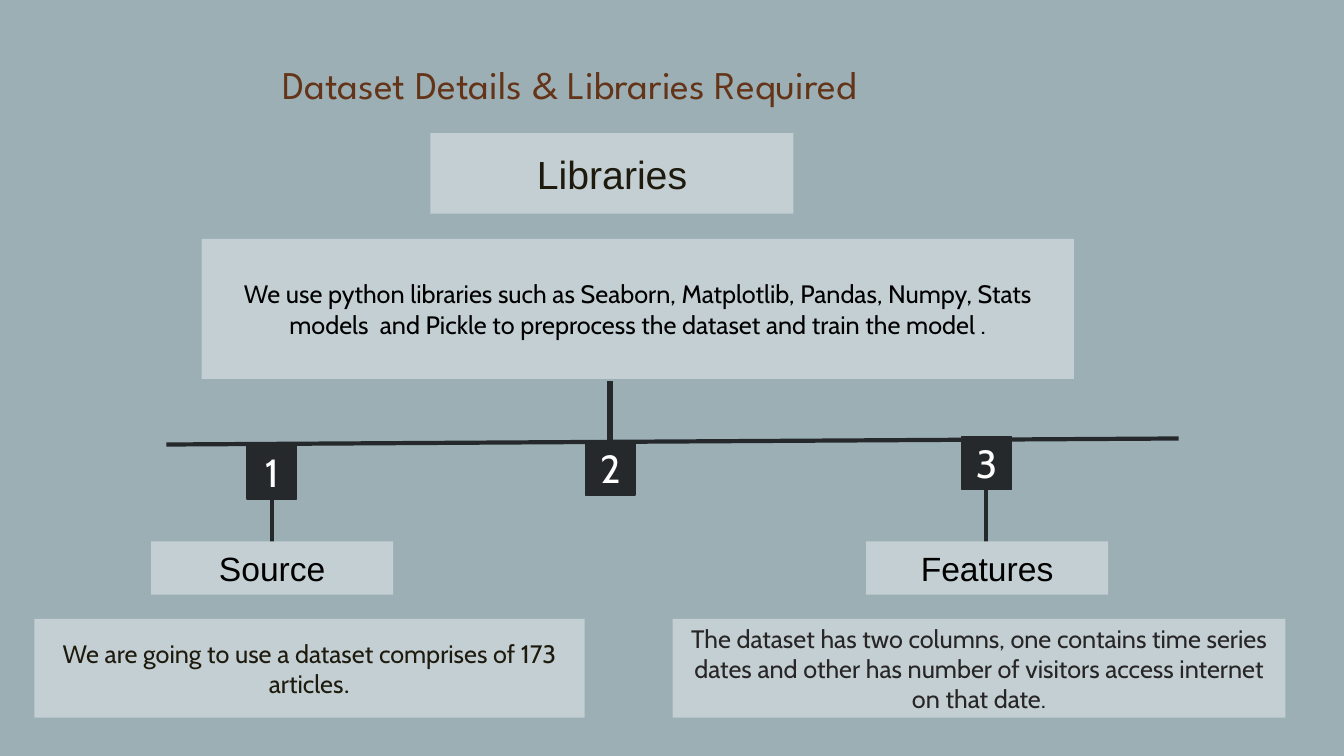
from dataclasses import dataclass

from lxml import etree
from pptx import Presentation
from pptx import util as u
from pptx.dml.color import RGBColor
from pptx.enum import shapes, text
from pptx.oxml import ns
from pptx.slide import Slide

PX = 9144  # EMU; 100 px to the inch


@dataclass(frozen=True)
class Theme:
    background: str = "9BAFB5"
    panel: str = "C3CFD3"
    dark: str = "25292B"
    title: str = "643418"
    olive: str = "1E1B0E"
    charcoal: str = "272525"
    black: str = "000000"
    white: str = "FFFFFF"
    heading_font: str = "Arial"
    body_font: str = "Cabin"
    full_stop_font: str = "Roboto"
    title_font: str = "League Spartan"
    large: int = 28
    medium: int = 24
    body: int = 18
    title_leading: float = 51.8


THEME = Theme()


@dataclass(frozen=True)
class Block:
    words: str
    left: int
    top: int
    width: int
    height: int
    size: int
    font: str
    color: str
    fill: str = THEME.panel
    border: str | None = None


@dataclass(frozen=True)
class Rule:
    x1: int
    y1: int
    x2: int
    y2: int
    weight: float = 3


def heading(words: str, left: int) -> Block:
    return Block(words, left, 537, 240, 53, THEME.medium, THEME.heading_font, THEME.black)


def marker(number: int, left: int, top: int) -> Block:
    return Block(str(number), left, top, 49, 53, THEME.large, THEME.body_font,
                 THEME.white, THEME.dark, THEME.dark)


def detail(words: str, left: int, width: int, color: str) -> Block:
    return Block(words, left, 614, width, 98, THEME.body, THEME.body_font, color)


LIBRARIES = [
    Block("Libraries", 427, 132, 360, 80, THEME.large, THEME.heading_font, THEME.olive),
    Block("We use python libraries such as Seaborn, Matplotlib, Pandas, Numpy, Stats models  "
          "and Pickle to preprocess the dataset and train the model .",
          200, 237, 865, 139, THEME.body, THEME.body_font, THEME.black),
]
TIMELINE = Rule(165, 441, 1169, 435)
MARKERS = [marker(1, 245, 442), marker(2, 581, 438), marker(3, 954, 433)]
STEMS = [Rule(605, 378, 605, 441, 4.5), Rule(270, 491, 270, 551), Rule(978, 486, 978, 547)]
HEADINGS = [heading("Source", 150), heading("Features", 859)]
SOURCE = detail("We are going to use a dataset comprises of 173 articles", 34, 546, THEME.olive)
FEATURES = detail("The dataset has two columns, one contains time series dates and other has "
                  "number of visitors access internet on that date.", 667, 608, THEME.charcoal)


def rgb(color: str) -> RGBColor:
    return RGBColor.from_string(color)


def style_run(run, size: int, font: str, color: str) -> None:
    run.font.size = u.Pt(size)
    run.font.name = font
    run.font.color.rgb = rgb(color)


def add_title(slide: Slide, words: str) -> None:
    title = slide.shapes.title
    title.left, title.top, title.width, title.height = (n * PX for n in (270, 30, 874, 73))
    frame = title.text_frame
    frame.text = words
    frame.word_wrap = True
    frame.auto_size = text.MSO_AUTO_SIZE.NONE
    frame.vertical_anchor = text.MSO_ANCHOR.TOP
    line = frame.paragraphs[0]
    line.alignment = text.PP_ALIGN.LEFT
    line.line_spacing = u.Pt(THEME.title_leading)
    line.space_before = u.Pt(0)
    style_run(line.runs[0], THEME.large, THEME.title_font, THEME.title)


def add_block(slide: Slide, block: Block):
    """Draw a block and return its paragraph."""
    box = slide.shapes.add_shape(
        shapes.MSO_SHAPE.RECTANGLE,
        *(n * PX for n in (block.left, block.top, block.width, block.height)))
    box.shadow.inherit = False
    box.fill.solid()
    box.fill.fore_color.rgb = rgb(block.fill)
    if block.border:
        box.line.color.rgb = rgb(block.border)
        box.line.width = u.Pt(1)
    else:
        box.line.fill.background()
    frame = box.text_frame
    frame.text = block.words
    frame.word_wrap = True
    frame.vertical_anchor = text.MSO_ANCHOR.MIDDLE
    sentence = frame.paragraphs[0]
    sentence.alignment = text.PP_ALIGN.CENTER
    style_run(sentence.runs[0], block.size, block.font, block.color)
    return sentence


def add_rule(slide: Slide, rule: Rule) -> None:
    connector = slide.shapes.add_connector(
        shapes.MSO_CONNECTOR.STRAIGHT,
        *(n * PX for n in (rule.x1, rule.y1, rule.x2, rule.y2)))
    connector.line.color.rgb = rgb(THEME.dark)
    connector.line.width = u.Pt(rule.weight)
    etree.SubElement(connector._element.spPr, ns.qn("a:effectLst"))


def main() -> None:
    deck = Presentation()
    deck.slide_width, deck.slide_height = 1333 * PX, 750 * PX
    slide = deck.slides.add_slide(deck.slide_layouts[5])
    slide.background.fill.solid()
    slide.background.fill.fore_color.rgb = rgb(THEME.background)

    add_title(slide, "Dataset Details & Libraries Required")
    for block in LIBRARIES:
        add_block(slide, block)
    add_rule(slide, TIMELINE)
    for block in MARKERS:
        add_block(slide, block)
    for stem in STEMS:
        add_rule(slide, stem)
    for block in HEADINGS:
        add_block(slide, block)
    full_stop = add_block(slide, SOURCE).add_run()
    full_stop.text = "."
    style_run(full_stop, SOURCE.size, THEME.full_stop_font, SOURCE.color)
    add_block(slide, FEATURES)
    deck.save("out.pptx")


if __name__ == "__main__":
    main()
